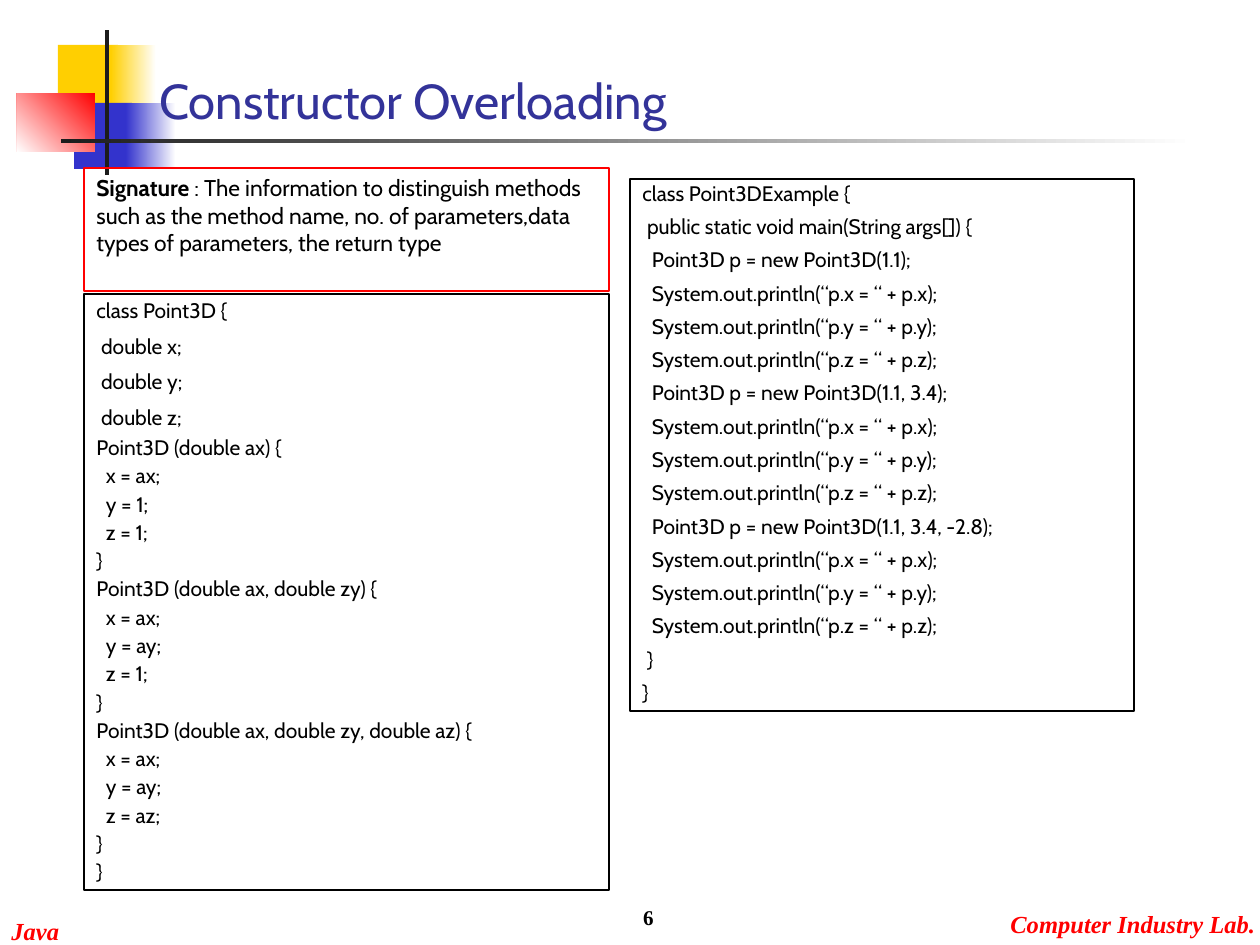
from pptx import Presentation
from pptx.dml.color import RGBColor
from pptx.enum.shapes import MSO_SHAPE
from pptx.enum.text import MSO_ANCHOR, PP_ALIGN
from pptx.util import Pt

PX = 914400 // 126  # EMU per pixel, 126 pixels to the inch

BLACK = RGBColor(0x00, 0x00, 0x00)
WHITE = RGBColor(0xFF, 0xFF, 0xFF)
RED = RGBColor(0xFF, 0x00, 0x00)
YELLOW = RGBColor(0xFF, 0xCF, 0x01)
BLUE = RGBColor(0x33, 0x33, 0xCC)
CHARCOAL = RGBColor(0x1C, 0x1C, 0x1C)
TITLE_BLUE = RGBColor(0x33, 0x33, 0x99)

BODY_FONT = "Cabin"
FOOTER_FONT = "Times New Roman"

prs = Presentation()
prs.slide_width = 1260 * PX
prs.slide_height = 945 * PX
slide = prs.slides.add_slide(prs.slide_layouts[6])


def add_box(box, line_color=None):
    shape = slide.shapes.add_shape(MSO_SHAPE.RECTANGLE, *[n * PX for n in box])
    shape.shadow.inherit = False
    shape.fill.background()
    if line_color is None:
        shape.line.fill.background()
    else:
        shape.line.color.rgb = line_color
        shape.line.width = Pt(0.74)
    return shape


def write(shape, text, size, color, font=BODY_FONT, bold=False, italic=False,
          anchor=MSO_ANCHOR.TOP, align=PP_ALIGN.LEFT, wrap=True):
    frame = shape.text_frame
    frame.text = text
    frame.word_wrap = wrap
    frame.vertical_anchor = anchor
    for paragraph in frame.paragraphs:
        paragraph.alignment = align
        for run in paragraph.runs:
            run.font.name = font
            run.font.size = Pt(size)
            run.font.bold = bold
            run.font.italic = italic
            run.font.color.rgb = color
    return frame


# Corner ornament and title rule: box, colour, angle of the fade to white
ornament = [
    ((58, 45, 60, 66), YELLOW, None),
    ((111, 45, 45, 66), YELLOW, 0),
    ((74, 103, 58, 66), BLUE, None),
    ((126, 103, 50, 66), BLUE, 0),
    ((17, 93, 78, 59), RED, 225),
    ((105, 30, 4, 145), CHARCOAL, None),
    ((61, 139, 1134, 4), CHARCOAL, 0),
]
for box, color, fade_angle in ornament:
    block = add_box(box)
    if fade_angle is None:
        block.fill.solid()
        block.fill.fore_color.rgb = color
    else:
        block.fill.gradient()
        block.fill.gradient_angle = fade_angle
        for stop, stop_color in zip(block.fill.gradient_stops, (color, WHITE)):
            stop.color.rgb = stop_color

# Title, footers and page number
title = slide.shapes.add_textbox(*[n * PX for n in (147, 63, 599, 73)])
write(title, "Constructor Overloading", 28, TITLE_BLUE, anchor=MSO_ANCHOR.BOTTOM)

for footer, box in [("Java", (-1, 910, 73, 43)),
                    ("Computer Industry Lab.", (998, 903, 270, 43))]:
    footer_box = slide.shapes.add_textbox(*[n * PX for n in box])
    write(footer_box, footer, 14, RED, FOOTER_FONT, bold=True, italic=True, wrap=False)

page_number = slide.shapes.add_textbox(*[n * PX for n in (404, 873, 262, 63)])
write(page_number, "6", 12, BLACK, FOOTER_FONT, bold=True,
      anchor=MSO_ANCHOR.BOTTOM, align=PP_ALIGN.RIGHT)

# Code listings: box, text, number of leading open lines, their spacing, the rest
POINT_CLASS = """class Point3D {
 double x;
 double y;
 double z;
Point3D (double ax) {
  x = ax;
  y = 1;
  z = 1;
}
Point3D (double ax, double zy) {
  x = ax;
  y = ay;
  z = 1;
}
Point3D (double ax, double zy, double az) {
  x = ax;
  y = ay;
  z = az;
}
}"""

example_lines = ["class Point3DExample {", " public static void main(String args[]) {"]
for arguments in ("1.1", "1.1, 3.4", "1.1, 3.4, -2.8"):
    example_lines.append(f"  Point3D p = new Point3D({arguments});")
    for axis in "xyz":
        example_lines.append(f"  System.out.println(“p.{axis} = “ + p.{axis});")
example_lines += [" }", "}"]

listings = [
    ((84, 294, 525, 596), POINT_CLASS, 4, 0.9, 0.6),
    ((630, 179, 504, 532), "\n".join(example_lines), 0, 0.8, 0.8),
]
for box, code, open_lines, open_spacing, tight_spacing in listings:
    frame = write(add_box(box, BLACK), code, 12, BLACK)
    for number, paragraph in enumerate(frame.paragraphs):
        paragraph.space_before = Pt(7.5)
        paragraph.line_spacing = open_spacing if number < open_lines else tight_spacing

# Definition of a signature
definition = write(
    add_box((84, 168, 525, 123), RED),
    "Signature", 13, BLACK, bold=True)
sentence = definition.paragraphs[0]
sentence.space_before = Pt(8.1)
explanation = sentence.add_run()
explanation.text = (" : The information to distinguish methods such as the method name, "
                    "no. of parameters,data types of parameters, the return type")
explanation.font.name = BODY_FONT
explanation.font.size = Pt(13)
explanation.font.bold = False
explanation.font.color.rgb = BLACK

prs.save("out.pptx")
